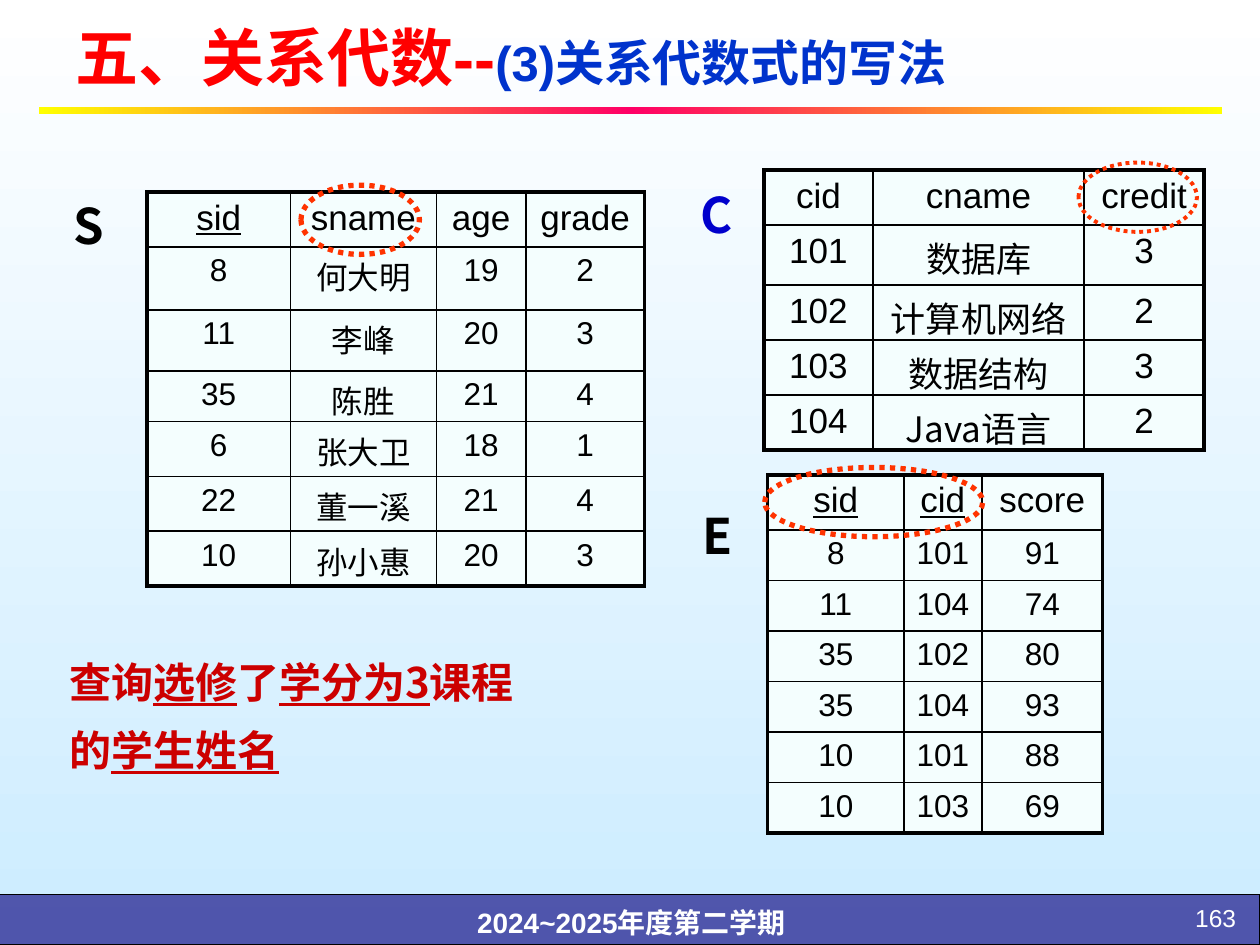
from copy import deepcopy
from dataclasses import dataclass
from typing import Any

from lxml.etree import SubElement as Sub
from pptx import Presentation
from pptx.dml.color import RGBColor
from pptx.enum.dml import MSO_LINE as Dash
from pptx.enum.shapes import MSO_SHAPE as Kind
from pptx.enum.text import MSO_ANCHOR as Anchor, MSO_AUTO_SIZE as Auto, PP_ALIGN as Align
from pptx.oxml.ns import qn
from pptx.util import Pt

ARIAL = "Arial"
NOTO = "Noto Sans CJK SC"


def color(text):
    return RGBColor.from_string(text)


@dataclass
class Page:
    """Holds the style and the slide that each method draws on."""

    slide: Any
    ink: str = "000000"
    cell: str = "F4FEFE"
    ring: str = "FF3300"
    thick: float = 2.25
    thin: float = 1

    def grad(self, fill, node, hues, angle):
        fill.gradient()
        fill.gradient_angle = angle
        stops = next(node.iter(qn("a:gsLst")))
        while len(stops) < len(hues):
            stops.append(deepcopy(stops[0]))
        for i, (stop, hue) in enumerate(zip(fill.gradient_stops, hues)):
            stop.color.rgb = color(hue)
            stop.position = i / (len(hues) - 1)

    def words(self, para, runs, size, hue, face=ARIAL, bold=False, align=Align.CENTER):
        para.alignment = align
        font = para.font
        font.name, font.size, font.bold = face, Pt(size), bold
        font.color.rgb = color(hue)
        Sub(para._p.pPr.find(qn("a:defRPr")), qn("a:ea"), typeface=NOTO)
        for text, line in runs:
            run = para.add_run()
            run.text = text
            if line:
                run.font.underline = True

    def text(self, x, y, w, h, runs, size, hue, space=1, grow=True, **style):
        box = self.slide.shapes.add_textbox(Pt(x), Pt(y), Pt(w), Pt(h))
        frame = box.text_frame
        frame.word_wrap = True
        frame.auto_size = Auto.SHAPE_TO_FIT_TEXT if grow else Auto.NONE
        para = frame.paragraphs[0]
        para.line_spacing = space
        self.words(para, runs, size, hue, **style)
        return frame

    def shape(self, kind, x, y, w, h):
        form = self.slide.shapes.add_shape(kind, Pt(x), Pt(y), Pt(w), Pt(h))
        form.shadow.inherit = False
        return form

    def band(self, x, y, w, h, hue, clear):
        form = self.shape(Kind.RECTANGLE, x, y, w, h)
        form.fill.solid()
        form.fill.fore_color.rgb = color(hue)
        form.line.color.rgb = color(self.ink)
        form.line.width = Pt(0.75)
        Sub(next(form._element.spPr.iter(qn("a:srgbClr"))), qn("a:alpha"), val=str(clear * 1000))

    def bar(self, x, y, w, h, hues):
        form = self.shape(Kind.RECTANGLE, x, y, w, h)
        form.line.fill.background()
        self.grad(form.fill, form._element, hues, 0)

    def oval(self, x, y, w, h, width):
        form = self.shape(Kind.OVAL, x, y, w, h)
        form.fill.background()
        form.line.color.rgb = color(self.ring)
        form.line.width = Pt(width)
        form.line.dash_style = Dash.ROUND_DOT

    def edge(self, cell, sides):
        props = cell._tc.get_or_add_tcPr()
        for i, (side, outer) in enumerate(sides):
            width = Pt(self.thick if outer else self.thin)
            line = props.makeelement(qn("a:ln" + side), {"w": str(int(width))})
            Sub(Sub(line, qn("a:solidFill")), qn("a:srgbClr"), val=self.ink)
            props.insert(i, line)

    def table(self, x, y, cols, rows, data, keys=(), size=18, face=ARIAL):
        grid = self.slide.shapes.add_table(
            len(rows), len(cols), Pt(x), Pt(y), Pt(sum(cols)), Pt(sum(rows))).table
        grid.first_row = grid.horz_banding = False
        for col, w in zip(grid.columns, cols):
            col.width = Pt(w)
        for r, (row, h, line) in enumerate(zip(grid.rows, rows, data)):
            row.height = Pt(h)
            for c, (cell, word) in enumerate(zip(row.cells, line)):
                cell.fill.solid()
                cell.fill.fore_color.rgb = color(self.cell)
                self.edge(cell, (("L", c == 0), ("R", c == len(cols) - 1),
                                 ("T", r == 0), ("B", r == len(rows) - 1)))
                self.words(cell.text_frame.paragraphs[0], [(word, r == 0 and word in keys)],
                           size if r else 20, self.ink, ARIAL if word.isascii() else face)


def main():
    deck = Presentation()
    deck.slide_width, deck.slide_height = Pt(720), Pt(540)
    slide = deck.slides.add_slide(deck.slide_layouts[6])
    page = Page(slide)
    page.grad(slide.background.fill, slide.element, ["FFFFFF", "CCECFF"], 270)

    page.band(-0.7, 511.2, 720.7, 28.8, "333399", 81)
    page.text(193.7, 509.8, 334, 30.2, [("2024~2025年度第二学期", False)], 16, "FFFFFF",
              space=1.2, bold=True)
    page.bar(22.3, 61.2, 676, 4, ["FFFF00", "FF0066", "FFFF00"])
    page.text(643.7, 512.6, 69.8, 21.6, [("163", False)], 14, "FFFFFF",
              grow=False, align=Align.RIGHT)

    students = [
        ("sid", "sname", "age", "grade"),
        ("8", "何大明", "19", "2"),
        ("11", "李峰", "20", "3"),
        ("35", "陈胜", "21", "4"),
        ("6", "张大卫", "18", "1"),
        ("22", "董一溪", "21", "4"),
        ("10", "孙小惠", "20", "3"),
    ]
    page.table(84, 109.8, [82, 83.4, 51.2, 67.7], [31.4, 36, 34.8, 28.6] + [31.4] * 3,
               students, keys=("sid",))
    courses = [
        ("cid", "cname", "credit"),
        ("101", "数据库", "3"),
        ("102", "计算机网络", "2"),
        ("103", "数据结构", "3"),
        ("104", "Java语言", "2"),
    ]
    page.table(436.5, 97.2, [62.4, 120.6, 68.6], [31.4, 34.4] + [31.4] * 3,
               courses, size=20, face=NOTO)
    exams = [
        ("sid", "cid", "score"),
        ("8", "101", "91"),
        ("11", "104", "74"),
        ("35", "102", "80"),
        ("35", "104", "93"),
        ("10", "101", "88"),
        ("10", "103", "69"),
    ]
    page.table(438.7, 271.4, [77.8, 44.6, 69.1], [31.4] + [28.9] * 6,
               exams, keys=("sid", "cid"))

    for name, x, y, w, hue in (("S", 23.8, 96.5, 54, "000000"),
                               ("C", 352.8, 90, 113.8, "0000CC"),
                               ("E", 383, 273.6, 54, "000000")):
        page.text(x, y, w, 46, [(name, False)], 28, hue, space=1.35, face=NOTO, bold=True)

    query = [("查询", False), ("选修", True), ("了", False), ("学分为3", True),
             ("课程的", False), ("学生姓名", True)]
    page.text(32.4, 361.4, 283.7, 80, query, 24, "CC0000", space=1.35,
              face=NOTO, bold=True, align=Align.LEFT)

    page.oval(172, 105.8, 67.7, 39.6, 3)
    page.oval(616.3, 92.9, 67.7, 39.6, 2.25)
    page.oval(437, 267.1, 124.6, 39.6, 3)

    title = page.text(36, 5, 648, 54.7, [("五、关系代数--", False), ("(3)关系代数式的写法", False)],
                      36, "FF0000", grow=False, bold=True, align=Align.LEFT)
    title.vertical_anchor = Anchor.MIDDLE
    part = title.paragraphs[0].runs[1].font
    part.size, part.color.rgb = Pt(28), color("0033CC")

    deck.save("out.pptx")


if __name__ == "__main__":
    main()
